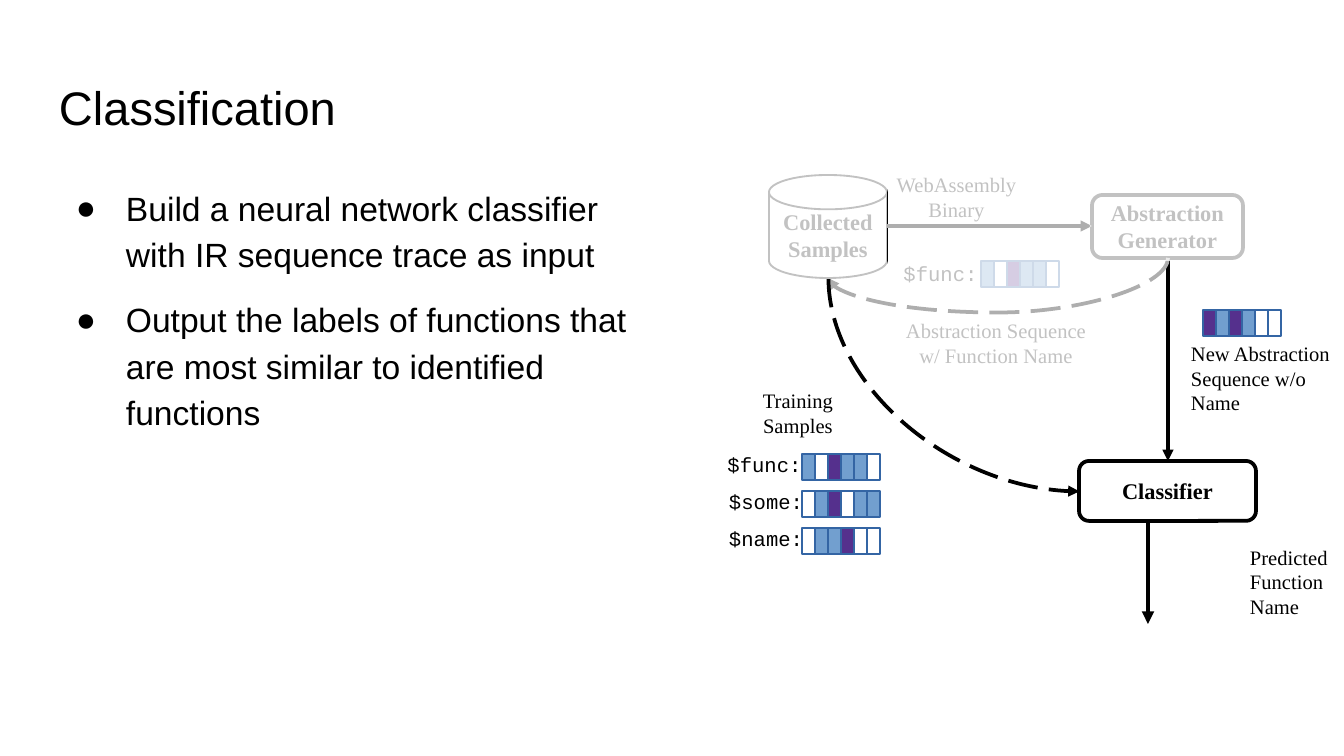
from lxml import etree
from pptx import Presentation, util as u
from pptx.dml import color
from pptx.enum import shapes, text
from pptx.oxml import ns

PX = 914400 / 134.4
ARIAL, TIMES, MONO = "Arial", "Times New Roman", "Courier New"
LEFT, CENTER = text.PP_ALIGN.LEFT, text.PP_ALIGN.CENTER
TOP, MIDDLE = text.MSO_ANCHOR.TOP, text.MSO_ANCHOR.MIDDLE
CELL_W, CELL_H = 13, 26
CELL_FILLS = {"b": "729FCF", "p": "55308D", "w": "FFFFFF"}


def px(n):
    return u.Emu(round(n * PX))


def rgb(value):
    return color.RGBColor.from_string(value)


def child(parent, tag, **attrs):
    return etree.SubElement(parent, ns.qn(tag), attrs)


def write(s, lines, size, font, align=LEFT, anchor=TOP, bold=False, indent=0, inset=(10, 5)):
    tf = s.text_frame
    tf.word_wrap = True
    tf.vertical_anchor = anchor
    tf.margin_left = tf.margin_right = px(inset[0])
    tf.margin_top = tf.margin_bottom = px(inset[1])
    for i, line in enumerate(lines):
        p = tf.add_paragraph() if i else tf.paragraphs[0]
        p.alignment = align
        if indent:
            pPr = p._p.get_or_add_pPr()
            pPr.set("marL", str(px(indent)))
            pPr.set("indent", "0")
        r = p.add_run()
        r.text = line
        r.font.size = u.Pt(size)
        r.font.name = font
        r.font.bold = bold
        r.font.color.rgb = rgb("000000")
    return tf


def add_text(sp, box, lines, size=11, font=TIMES, **style):
    s = sp.add_textbox(*map(px, box))
    return write(s, lines, size, font, **style)


def add_bullets(sp, box, lines):
    tf = add_text(sp, box, lines, 18, ARIAL, inset=(13, 13))
    for i, p in enumerate(tf.paragraphs):
        pPr = p._p.get_or_add_pPr()
        pPr.set("marL", str(px(67)))
        pPr.set("indent", str(px(-50)))
        child(child(pPr, "a:buClr"), "a:srgbClr", val="000000")
        child(pPr, "a:buFont", typeface=ARIAL)
        child(pPr, "a:buChar", char="●")
        p.line_spacing = 1.15
        if i:
            p.space_before = u.Pt(10)


def add_box(sp, kind, box, fill=None, line=None, width=1):
    s = sp.add_shape(kind, *map(px, box))
    s.shadow.inherit = False
    if fill:
        s.fill.solid()
        s.fill.fore_color.rgb = rgb(fill)
    else:
        s.fill.background()
    if line:
        s.line.color.rgb = rgb(line)
        s.line.width = u.Pt(width)
    else:
        s.line.fill.background()
    return s


def add_node(sp, kind, box, lines, fill=None, width=2):
    s = add_box(sp, kind, box, fill, "000000", width)
    write(s, lines, 12, TIMES, CENTER, MIDDLE, bold=True)


def add_strip(sp, left, top, pattern):
    for i, key in enumerate(pattern):
        box = (left + i * CELL_W, top, CELL_W, CELL_H)
        add_box(sp, shapes.MSO_SHAPE.RECTANGLE, box, CELL_FILLS[key], "3465A4", 0.75)


def add_veil(sp, box):
    s = add_box(sp, shapes.MSO_SHAPE.RECTANGLE, box, "FFFFFF")
    clr = s._element.spPr.find(".//" + ns.qn("a:srgbClr"))
    child(clr, "a:alpha", val="76000")


def add_arrow(sp, start, end, line="000000", width=2, kind=shapes.MSO_CONNECTOR.STRAIGHT):
    s = sp.add_connector(kind, *map(px, start + end))
    s.line.color.rgb = rgb(line)
    s.line.width = u.Pt(width)
    child(s.line._get_or_add_ln(), "a:tailEnd", type="triangle")
    child(s._element.spPr, "a:effectLst")
    return s


def add_curve(sp, start, end, line, preset, degrees, adj=None):
    s = add_arrow(sp, start, end, line, kind=shapes.MSO_CONNECTOR.CURVE)
    s.line.dash_style = shapes_dash()
    spPr = s._element.spPr
    spPr.find(ns.qn("a:xfrm")).set("rot", str(degrees * 60000))
    geom = spPr.find(ns.qn("a:prstGeom"))
    geom.set("prst", preset)
    if adj:
        guides = geom.find(ns.qn("a:avLst"))
        if guides is None:
            guides = child(geom, "a:avLst")
        child(guides, "a:gd", name="adj1", fmla=f"val {adj}")


def shapes_dash():
    from pptx.enum import dml
    return dml.MSO_LINE.LONG_DASH


def add_nodes(sp):
    rounded = shapes.MSO_SHAPE.ROUNDED_RECTANGLE
    disk = shapes.MSO_SHAPE.FLOWCHART_MAGNETIC_DISK
    add_node(sp, rounded, (1092, 195, 151, 63), ["Abstraction", "Generator"])
    add_node(sp, rounded, (1079, 461, 177, 60), ["Classifier"])
    add_node(sp, disk, (769, 175, 118, 103), ["Collected", "Samples"], "FFFFFF", 1)


def add_labels(sp):
    for box, lines, font in [
        ((790, 170, 282, 54), ["WebAssembly", "Binary"], TIMES),
        ((680, 386, 185, 54), ["Training", "Samples"], TIMES),
        ((844, 316, 253, 54), ["Abstraction Sequence w/ Function Name"], TIMES),
        ((634, 437, 210, 54), ["$func:"], MONO),
        ((810, 246, 210, 54), ["$func:"], MONO),
    ]:
        add_text(sp, box, lines, font=font, align=CENTER, anchor=MIDDLE, indent=51)
    add_text(sp, (1189, 530, 151, 103), ["Predicted", "Function", "Name"], anchor=MIDDLE, indent=51)
    add_text(sp, (1181, 336, 163, 97), ["New Abstraction", "Sequence w/o Name"])
    for top, name in [(484, "$some:"), (521, "$name:")]:
        add_text(sp, (719, top, 103, 32), [name], font=MONO)


def add_flow(sp):
    add_arrow(sp, (887, 226), (1092, 226), "AEAEAE")
    add_arrow(sp, (1168, 258), (1168, 461))
    add_arrow(sp, (1148, 521), (1148, 624), width=2.25)
    add_curve(sp, (988, 98), (1008, 438), "AEAEAE", "curvedConnector3", 90, 272800)
    add_curve(sp, (1061, 259), (847, 510), "000000", "curvedConnector2", 270)


def main():
    prs = Presentation()
    prs.slide_width, prs.slide_height = px(1344), px(756)
    sp = prs.slides.add_slide(prs.slide_layouts[6]).shapes
    add_text(sp, (46, 66, 1253, 84), ["Classification"], 25.2, ARIAL, inset=(13, 13))
    add_bullets(sp, (46, 169, 626, 503), [
        "Build a neural network classifier with IR sequence trace as input",
        "Output the labels of functions that are most similar to identified functions",
    ])
    add_nodes(sp)
    add_labels(sp)
    add_flow(sp)
    for left, top, pattern in [
        (1203, 310, "pbpbww"),
        (981, 261, "bwpbbw"),
        (802, 454, "bwpbbw"),
        (802, 491, "wbpwbb"),
        (802, 528, "wbbpww"),
    ]:
        add_strip(sp, left, top, pattern)
    for box in [
        (1090, 145, 245, 116),
        (891, 159, 177, 63),
        (899, 243, 176, 50),
        (710, 137, 177, 142),
        (891, 316, 227, 67),
    ]:
        add_veil(sp, box)
    prs.save("out.pptx")


if __name__ == "__main__":
    main()
